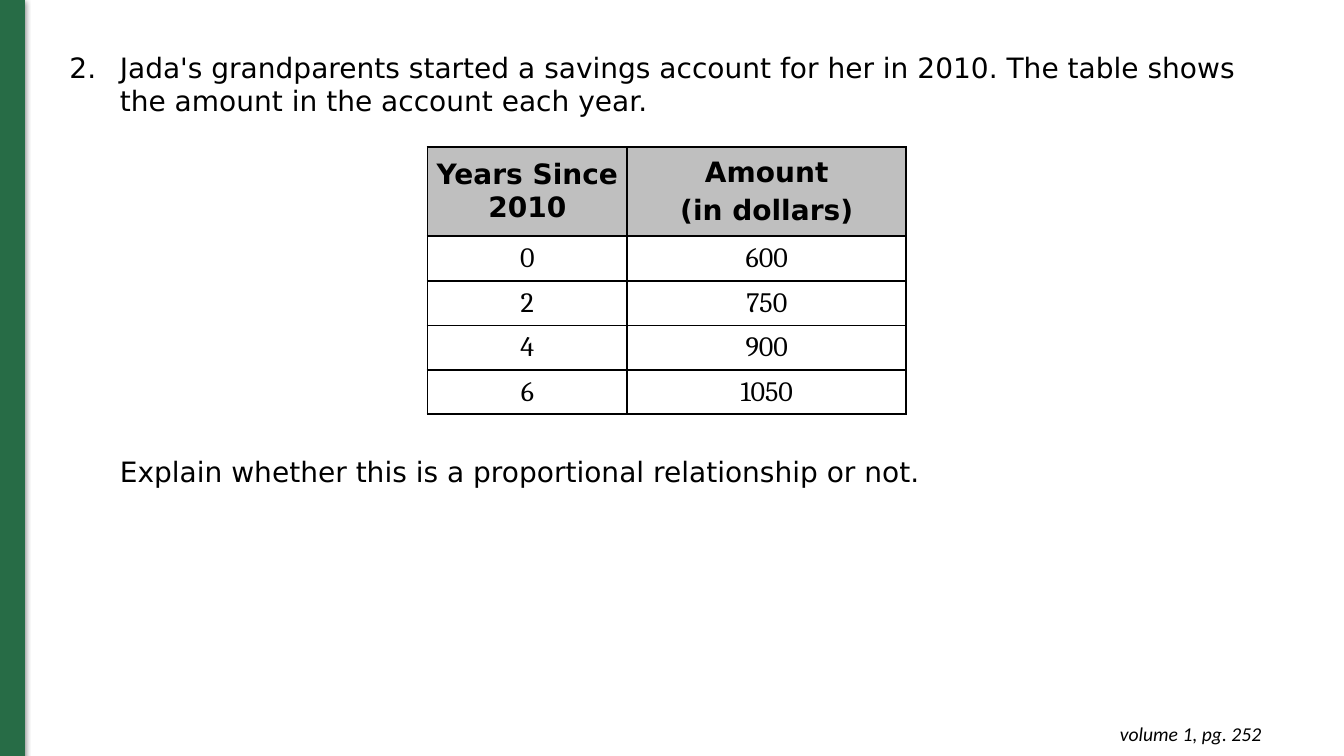
from lxml import etree
from pptx import Presentation
from pptx.dml.color import RGBColor
from pptx.enum.shapes import MSO_SHAPE
from pptx.enum.text import MSO_ANCHOR, MSO_AUTO_SIZE, PP_ALIGN
from pptx.oxml.ns import qn
from pptx.util import Pt

RECTANGLE = MSO_SHAPE.RECTANGLE
MIDDLE = MSO_ANCHOR.MIDDLE
GROW = MSO_AUTO_SIZE.SHAPE_TO_FIT_TEXT
LEFT, CENTER, RIGHT = PP_ALIGN.LEFT, PP_ALIGN.CENTER, PP_ALIGN.RIGHT

# Content
QUESTION_NUMBER = 2
QUESTION = ("Jada's grandparents started a savings account for her in 2010. "
            "The table shows the amount in the account each year.")
TASK = "Explain whether this is a proportional relationship or not."
PAGE_REFERENCE = "volume 1, pg. 252"
HEADINGS = [["Years Since 2010"], ["Amount", "(in dollars)"]]
SAVINGS = [(0, 600), (2, 750), (4, 900), (6, 1050)]

# Format: 100 px to the inch
PX = 9144
COLORS = {"green": "276C46", "grey": "BFBFBF", "black": "000000"}
SANS, SERIF, FOOTER_FONT = "DejaVu Sans", "Cambria", "Calibri"
COLUMN_WIDTHS = [198, 277]
ROW_HEIGHTS = [88, 45, 44, 44, 44]
HANGING_INDENT = 50
TABLE_GAP = 241  # points between the question and the task


def px(*lengths):
    return [length * PX for length in lengths]


def color(name):
    return RGBColor.from_string(COLORS[name])


def add_xml(parent, tag, **attributes):
    return etree.SubElement(parent, qn(tag), attributes)


def write(frame, lines, *, font=SANS, size=20, bold=False, italic=False,
          align=LEFT, before=0, after=0):
    for index, text in enumerate(lines):
        para = frame.paragraphs[0] if index == 0 else frame.add_paragraph()
        para.alignment = align
        if index:
            para.space_before = Pt(before)
        para.space_after = Pt(after)
        span = para.add_run()
        span.text = text
        span.font.name = font
        span.font.size = Pt(size)
        span.font.bold = bold
        span.font.italic = italic
        span.font.color.rgb = color("black")


def add_text(page, bounds, lines, inset=(10, 5), **text_format):
    box = page.shapes.add_textbox(*px(*bounds))
    frame = box.text_frame
    frame.word_wrap = True
    frame.auto_size = GROW
    frame.margin_left = frame.margin_right = inset[0] * PX
    frame.margin_top = frame.margin_bottom = inset[1] * PX
    write(frame, lines, **text_format)
    return frame


def indent(para, first_line=0):
    properties = para._p.get_or_add_pPr()
    properties.set("marL", str(HANGING_INDENT * PX))
    properties.set("indent", str(first_line * PX))
    return properties


def add_borders(cell):
    properties = cell._tc.get_or_add_tcPr()
    for side in ("a:lnL", "a:lnR", "a:lnT", "a:lnB"):
        line = add_xml(properties, side, w=str(Pt(1.5)))
        add_xml(add_xml(line, "a:solidFill"), "a:srgbClr", val=COLORS["black"])


def add_question(page):
    frame = add_text(page, (59, 45, 1205, 448), [QUESTION, TASK], before=TABLE_GAP)
    question, task = frame.paragraphs
    numbering = indent(question, -HANGING_INDENT)
    add_xml(numbering, "a:buFont", typeface="+mj-lt")
    add_xml(numbering, "a:buAutoNum", type="arabicPeriod",
            startAt=str(QUESTION_NUMBER))
    add_xml(indent(task), "a:buNone")


def add_side_bar(page):
    bar = page.shapes.add_shape(RECTANGLE, *px(0, 0, 24, 751))
    bar.fill.solid()
    bar.fill.fore_color.rgb = bar.line.color.rgb = color("green")
    bar.line.width = Pt(0.75)
    bar.shadow.inherit = False
    effects = bar._element.spPr.find(qn("a:effectLst"))
    shadow = add_xml(effects, "a:outerShdw", blurRad=str(Pt(4.5)),
                     dist=str(Pt(1.5)), dir="5400000", rotWithShape="0")
    tint = add_xml(shadow, "a:srgbClr", val=COLORS["black"])
    add_xml(tint, "a:alpha", val="50000")


def add_savings_table(page):
    rows = [HEADINGS] + [[[str(value)] for value in row] for row in SAVINGS]
    bounds = px(424, 146, sum(COLUMN_WIDTHS), sum(ROW_HEIGHTS))
    table = page.shapes.add_table(len(rows), len(COLUMN_WIDTHS), *bounds).table
    table.first_row = table.horz_banding = False
    for column, width in zip(table.columns, COLUMN_WIDTHS):
        column.width = width * PX
    for row, height in zip(table.rows, ROW_HEIGHTS):
        row.height = height * PX

    for row_index, row in enumerate(rows):
        for column_index, lines in enumerate(row):
            cell = table.cell(row_index, column_index)
            cell.vertical_anchor = MIDDLE
            cell.margin_left = cell.margin_right = 7 * PX
            cell.margin_top = cell.margin_bottom = 0
            add_borders(cell)
            if row_index == 0:
                cell.fill.solid()
                cell.fill.fore_color.rgb = color("grey")
                write(cell.text_frame, lines, bold=True, align=CENTER,
                      before=1.8, after=1.8)
            else:
                cell.fill.background()
                write(cell.text_frame, lines, font=SERIF, align=CENTER)


def main():
    deck = Presentation()
    deck.slide_width, deck.slide_height = px(1333, 750)
    page = deck.slides.add_slide(deck.slide_layouts[6])
    add_question(page)
    add_side_bar(page)
    add_savings_table(page)
    add_text(page, (973, 706, 288, 44), [PAGE_REFERENCE], inset=(10, 10),
             font=FOOTER_FONT, size=14, italic=True, align=RIGHT)
    deck.save("out.pptx")


if __name__ == "__main__":
    main()
